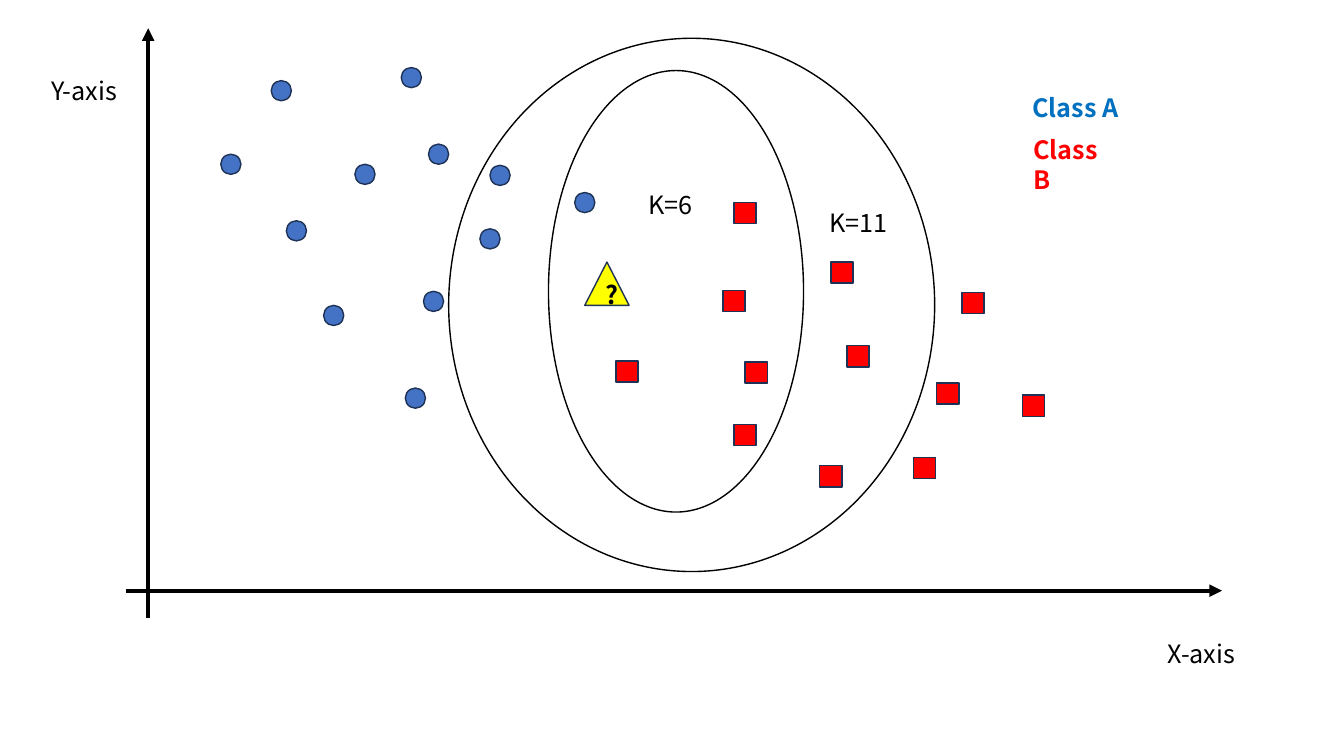
"""Build a slide showing K-nearest-neighbour classification with K=6 and K=11."""
from lxml.etree import SubElement
from pptx import Presentation
from pptx.dml.color import RGBColor
from pptx.enum.shapes import MSO_CONNECTOR, MSO_SHAPE as SHAPE
from pptx.enum.text import MSO_ANCHOR, MSO_AUTO_SIZE as AUTO_SIZE, PP_ALIGN
from pptx.oxml.ns import qn
from pptx.util import Inches, Pt

FONT = "Noto Sans CJK KR"
BLACK, WHITE, NAVY = "000000", "FFFFFF", "1E3256"
BLUE, RED, YELLOW = "4472C4", "FF0000", "FFFF00"

NEIGHBOURHOODS = [(4.45, 0.38, 4.82, 5.29), (5.44, 0.7, 2.53, 4.38)]
AXES = [(1.25, 5.86, 12.12, 5.86), (1.47, 6.13, 1.47, 0.28)]
CLASS_A = [
    (2.69, 0.8), (2.19, 1.53), (2.84, 2.19), (3.98, 0.67), (3.21, 3.03), (3.52, 1.63),
    (4.86, 1.64), (4.25, 1.43), (4.76, 2.27), (4.2, 2.89), (4.02, 3.85), (5.7, 1.91),
]
CLASS_B = [
    (7.17, 2.88), (6.11, 3.58), (7.28, 2.01), (7.28, 4.21), (8.24, 2.6), (7.39, 3.59),
    (9.54, 2.9), (8.4, 3.43), (8.13, 4.62), (9.29, 3.8), (10.14, 3.92), (9.06, 4.54),
]
SAMPLES = [
    (SHAPE.OVAL, CLASS_A, (0.2, 0.2), BLUE),
    (SHAPE.RECTANGLE, CLASS_B, (0.22, 0.21), RED),
]
UNKNOWN = (5.8, 2.6, 0.44, 0.43)
LABELS = [
    ("X-axis", 11.48, 6.28, 0.88, BLACK, False, False),
    ("Y-axis", 0.41, 0.7, 0.87, BLACK, False, False),
    ("K=6", 6.33, 1.83, 0.67, BLACK, False, False),
    ("K=11", 8.13, 2.01, 0.81, BLACK, False, False),
    ("Class A", 10.14, 0.87, 1.07, "0070C0", True, False),
    ("Class B", 10.15, 1.28, 1.0, RED, True, True),
]


def paint(color_format, color):
    color_format.rgb = RGBColor.from_string(color)


def write(frame, text, color, bold):
    line = frame.paragraphs[0]
    line.text = text
    line.font.name, line.font.size, line.font.bold = FONT, Pt(18), bold
    paint(line.font.color, color)
    return line


def add_mark(slide, kind, box, fill, outline):
    mark = slide.shapes.add_shape(kind, *map(Inches, box))
    mark.shadow.inherit = False
    mark.fill.solid()
    paint(mark.fill.fore_color, fill)
    paint(mark.line.color, outline)
    mark.line.width = Pt(1)
    return mark


def add_axis(slide, ends):
    axis = slide.shapes.add_connector(MSO_CONNECTOR.STRAIGHT, *map(Inches, ends))
    paint(axis.line.color, BLACK)
    axis.line.width = Pt(3)
    SubElement(axis.line._get_or_add_ln(), qn("a:tailEnd"), type="triangle")
    SubElement(axis._element.spPr, qn("a:effectLst"))


def add_label(slide, text, left, top, width, color, bold, wrap):
    label = slide.shapes.add_textbox(*map(Inches, (left, top, width, 0.4)))
    label.text_frame.word_wrap = wrap
    label.text_frame.auto_size = AUTO_SIZE.SHAPE_TO_FIT_TEXT
    write(label.text_frame, text, color, bold)


def main():
    deck = Presentation()
    deck.slide_width, deck.slide_height = Inches(13.33), Inches(7.5)
    slide = deck.slides.add_slide(deck.slide_layouts[6])

    for box in NEIGHBOURHOODS:
        add_mark(slide, SHAPE.OVAL, box, WHITE, BLACK)
    for ends in AXES:
        add_axis(slide, ends)
    for kind, places, size, fill in SAMPLES:
        for place in places:
            add_mark(slide, kind, place + size, fill, NAVY)

    unknown = add_mark(slide, SHAPE.ISOSCELES_TRIANGLE, UNKNOWN, YELLOW, NAVY)
    unknown.text_frame.vertical_anchor = MSO_ANCHOR.MIDDLE
    write(unknown.text_frame, "?", BLACK, True).alignment = PP_ALIGN.CENTER

    for label in LABELS:
        add_label(slide, *label)
    deck.save("out.pptx")


if __name__ == "__main__":
    main()
